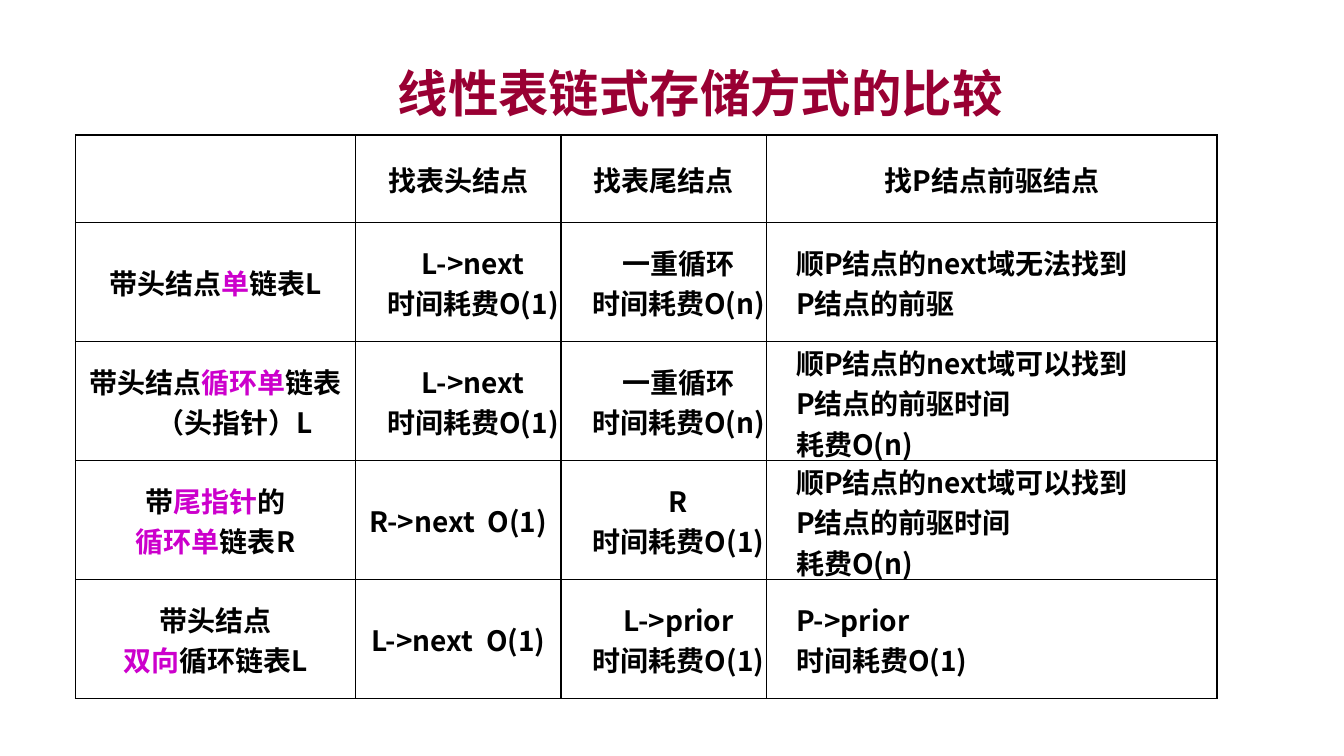
from dataclasses import dataclass

from lxml.etree import SubElement
from pptx import Presentation
from pptx.dml.color import RGBColor
from pptx.enum.text import MSO_ANCHOR as Anchor, PP_ALIGN as Align
from pptx.oxml.ns import qn
from pptx.util import Cm, Pt


@dataclass(frozen=True)
class Theme:
    font: str = "Noto Sans CJK SC"
    title_size: int = 36
    cell_size: int = 20
    title: str = "990033"
    ink: str = "000000"
    accent: str = "CC00CC"
    border_width: int = 1


THEME = Theme()
COLUMN_WIDTHS = [7.06, 5.18, 5.18, 11.35]
ROW_HEIGHTS = [2.21, 3, 3, 3, 3]
HANGING = (0.95, -0.95)
SLIGHT = (0.95, -0.21)

# Each cell lists its paragraphs; text between asterisks takes the accent colour.
ROWS = [
    [[], ["找表头结点"], ["找表尾结点"], ["找P结点前驱结点"]],
    [
        ["带头结点*单*链表L"],
        ["L->next", "时间耗费O(1)"],
        ["一重循环", "时间耗费O(n)"],
        ["顺P结点的next域无法找到", "P结点的前驱"],
    ],
    [
        ["带头结点*循环单*链表（头指针）L"],
        ["L->next", "时间耗费O(1)"],
        ["一重循环", "时间耗费O(n)"],
        ["顺P结点的next域可以找到", "P结点的前驱时间", "耗费O(n)"],
    ],
    [
        ["带*尾指针*的", "*循环单*链表R"],
        ["R->next  O(1)"],
        ["R", "时间耗费O(1)"],
        ["顺P结点的next域可以找到", "P结点的前驱时间", "耗费O(n)"],
    ],
    [
        ["带头结点", "*双向*循环链表L"],
        ["L->next  O(1)"],
        ["L->prior", "时间耗费O(1)"],
        ["P->prior", "时间耗费O(1)"],
    ],
]


def add_run(paragraph, text, size, color):
    run = paragraph.add_run()
    run.text = text
    font = run.font
    font.size, font.bold, font.name = Pt(size), True, THEME.font
    font.color.rgb = RGBColor.from_string(color)
    SubElement(run._r.get_or_add_rPr(), qn("a:ea"), typeface=THEME.font)


def add_title(slide, left, top, width, height):
    frame = slide.shapes.add_textbox(left, top, width, height).text_frame
    frame.word_wrap = True
    frame.vertical_anchor = Anchor.MIDDLE
    paragraph = frame.paragraphs[0]
    paragraph.alignment = Align.CENTER
    add_run(paragraph, "线性表链式存储方式的比较", THEME.title_size, THEME.title)


def draw_borders(cell):
    properties = cell._tc.get_or_add_tcPr()
    for side in ("lnL", "lnR", "lnT", "lnB"):
        line = SubElement(properties, qn(f"a:{side}"), w=str(Pt(THEME.border_width)))
        fill = SubElement(line, qn("a:solidFill"))
        SubElement(fill, qn("a:srgbClr"), val=THEME.ink)


def fill_cell(cell, lines, align, indent):
    cell.margin_left = cell.margin_right = cell.margin_top = cell.margin_bottom = 0
    cell.vertical_anchor = Anchor.MIDDLE
    draw_borders(cell)
    cell.fill.background()
    frame = cell.text_frame
    for index, line in enumerate(lines):
        paragraph = frame.add_paragraph() if index else frame.paragraphs[0]
        paragraph.alignment = align
        properties = paragraph._p.get_or_add_pPr()
        for name, length in zip(("marL", "indent"), indent):
            properties.set(name, str(Cm(length)))
        for part, text in enumerate(line.split("*")):
            if text:
                add_run(paragraph, text, THEME.cell_size, THEME.accent if part % 2 else THEME.ink)


def add_comparison(slide, left, top):
    width, height = Cm(sum(COLUMN_WIDTHS)), Cm(sum(ROW_HEIGHTS))
    shape = slide.shapes.add_table(len(ROWS), len(COLUMN_WIDTHS), left, top, width, height)
    table = shape.table
    table.first_row = table.horz_banding = False
    for column, column_width in zip(table.columns, COLUMN_WIDTHS):
        column.width = Cm(column_width)
    for row_index, (cells, row_height) in enumerate(zip(ROWS, ROW_HEIGHTS)):
        table.rows[row_index].height = Cm(row_height)
        for column_index, lines in enumerate(cells):
            is_label = row_index == 0 or column_index == 0
            is_predecessor = column_index == 3 and not is_label
            is_single = len(lines) == 1
            fill_cell(
                table.cell(row_index, column_index),
                lines,
                Align.LEFT if is_predecessor else Align.CENTER,
                HANGING if is_label or is_single else SLIGHT,
            )


def main():
    presentation = Presentation()
    presentation.slide_width, presentation.slide_height = Cm(33.87), Cm(19.05)
    slide = presentation.slides.add_slide(presentation.slide_layouts[6])
    add_title(slide, Cm(2.83), Cm(1.47), Cm(29.63), Cm(1.7))
    add_comparison(slide, Cm(1.9), Cm(3.4))
    presentation.save("out.pptx")


if __name__ == "__main__":
    main()
